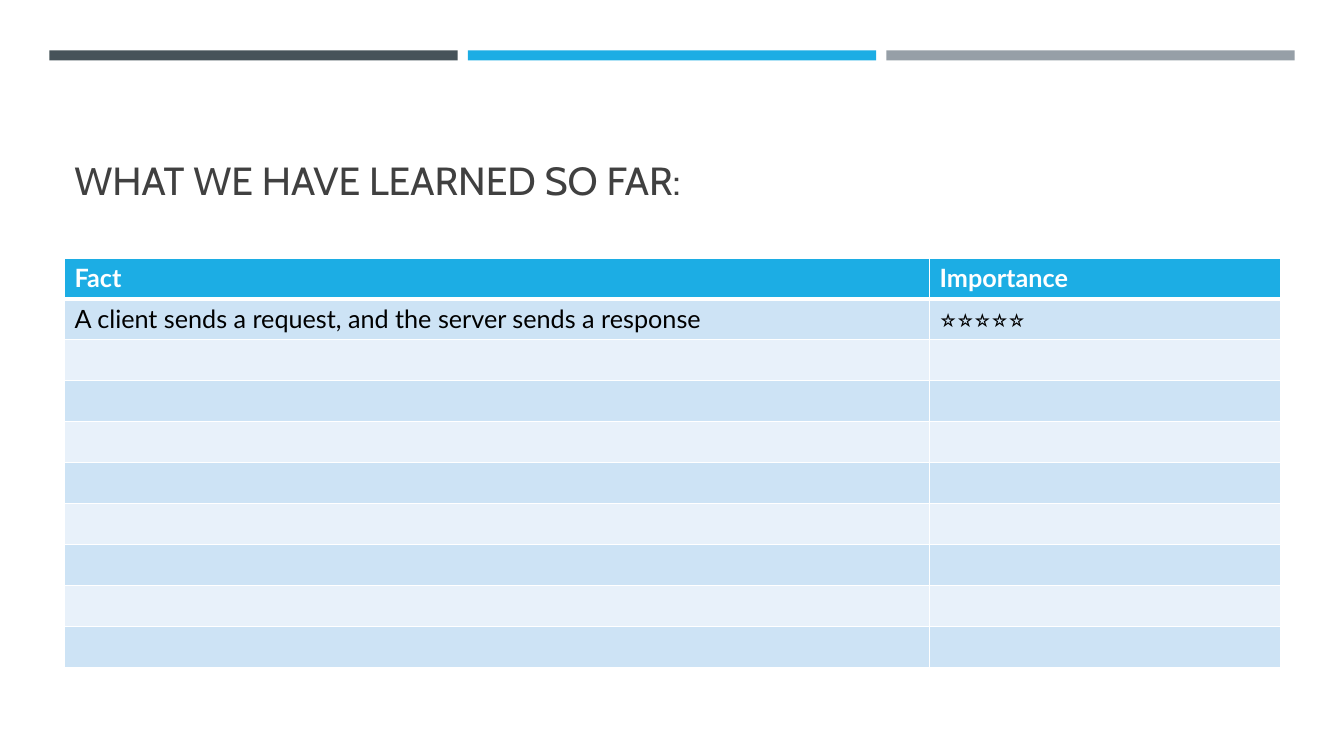
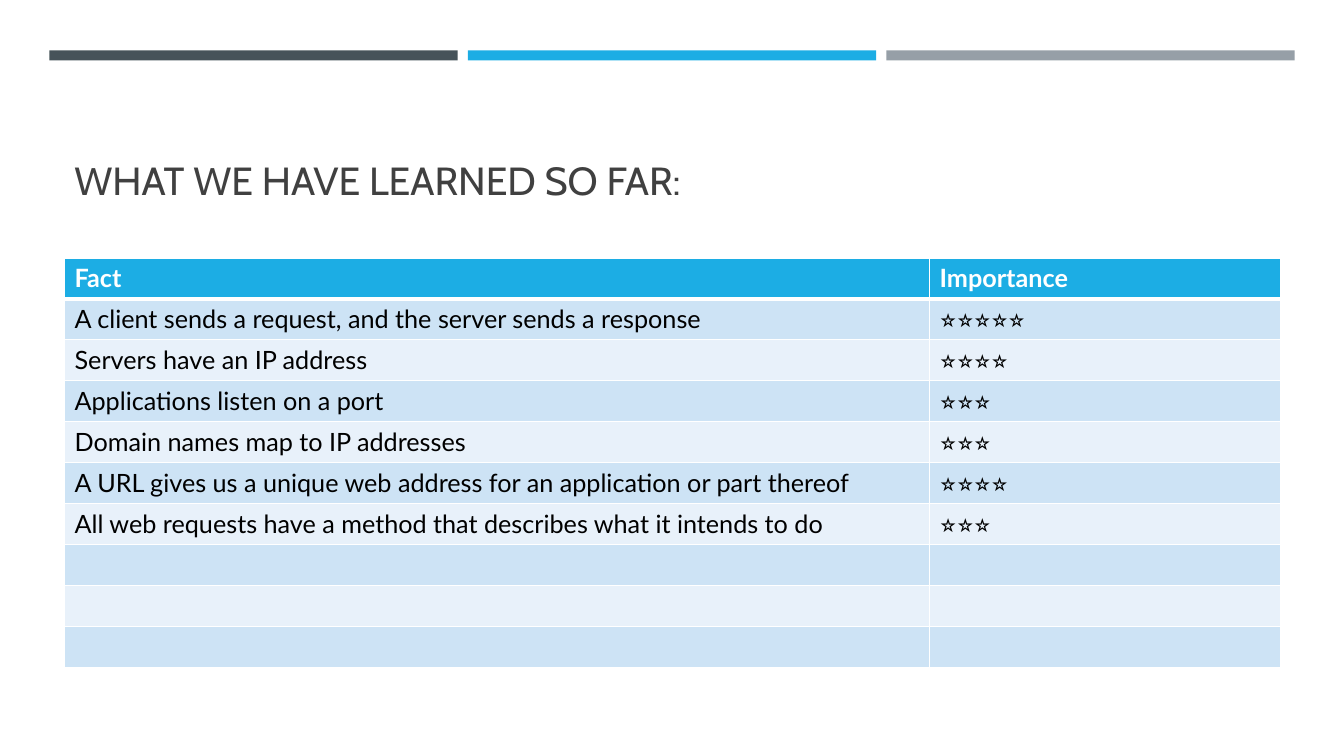
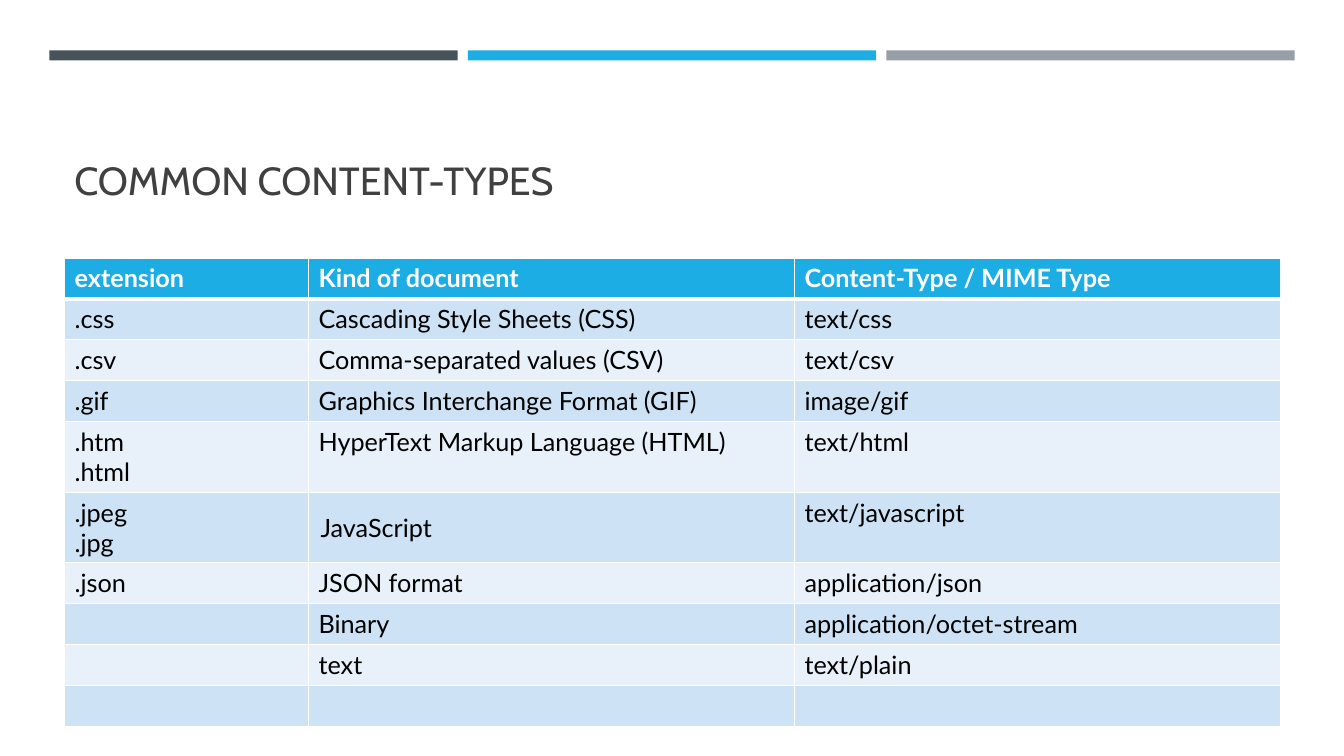
import dataclasses

import lxml.etree
import pptx
import pptx.dml.color
import pptx.enum.shapes
import pptx.enum.text
import pptx.oxml.ns
import pptx.util

Inches = pptx.util.Inches
Pt = pptx.util.Pt
qn = pptx.oxml.ns.qn

WHITE, BLACK, GREY = "FFFFFF", "000000", "404040"
BLUE = "1CADE4"
BANDS = ("465359", BLUE, "969FA7")
STRIPES = ("CDE3F5", "E8F1FA")
HEAD_FONT, BODY_FONT = "Cabin", "Lato"
LEFT, WIDTH = 0.64, 12.06
ROWS = 10
TALL = 0.7
STAR = "⭐"


@dataclasses.dataclass(frozen=True)
class Page:
    title: str
    widths: tuple[float, ...]
    heads: tuple[str, ...]
    rows: tuple[tuple[str, ...], ...]
    inset: tuple[int, int] | None = None


FACTS = (
    ("A client sends a request, and the server sends a response", STAR * 5),
    ("Servers have an IP address", STAR * 4),
    ("Applications listen on a port", STAR * 3),
    ("Domain names map to IP addresses", STAR * 3),
    ("A URL gives us a unique web address for an application or part thereof", STAR * 4),
    ("All web requests have a method that describes what it intends to do", STAR * 3),
)
TYPES = (
    (".css", "Cascading Style Sheets (CSS)", "text/css"),
    (".csv", "Comma-separated values (CSV)", "text/csv"),
    (".gif", "Graphics Interchange Format (GIF)", "image/gif"),
    (".htm\v.html", "HyperText Markup Language (HTML)", "text/html"),
    (".jpeg\v.jpg", "JavaScript", "text/javascript"),
    (".json", "JSON format", "application/json"),
    ("", "Binary", "application/octet-stream"),
    ("", "text", "text/plain"),
)
LEARNED = Page("WHAT WE HAVE LEARNED SO FAR:", (8.58, 3.48), ("Fact", "Importance"), FACTS)
PAGES = (
    dataclasses.replace(LEARNED, rows=FACTS[:1]),
    LEARNED,
    Page(
        "COMMON CONTENT-TYPES",
        (2.42, 4.82, 4.82),
        ("extension", "Kind of document", "Content-Type / MIME Type"),
        TYPES,
        inset=(5, 1),
    ),
)


def rgb(code: str) -> pptx.dml.color.RGBColor:
    return pptx.dml.color.RGBColor.from_string(code)


def paint(item, code: str) -> None:
    item.fill.solid()
    item.fill.fore_color.rgb = rgb(code)


def write(frame, text: str, face: str, size: float, code: str, bold: bool = False) -> None:
    frame.text = text
    for line in frame.paragraphs:
        for run in line.runs:
            run.font.name = face
            run.font.size = Pt(size)
            run.font.bold = bold
            run.font.color.rgb = rgb(code)


def edge(cell, side: str, width: float) -> None:
    props = cell._tc.get_or_add_tcPr()
    line = lxml.etree.SubElement(props, qn(f"a:ln{side}"), w=str(Pt(width)))
    fill = lxml.etree.SubElement(line, qn("a:solidFill"))
    lxml.etree.SubElement(fill, qn("a:srgbClr"), val=WHITE)


def add_bands(slide) -> None:
    for i, code in enumerate(BANDS):
        band = slide.shapes.add_shape(
            pptx.enum.shapes.MSO_SHAPE.RECTANGLE,
            Inches(0.49 + 4.15 * i), Inches(0.5), Inches(4.05), Inches(0.1),
        )
        band.shadow.inherit = False
        band.line.fill.background()
        paint(band, code)


def add_title(slide, text: str) -> None:
    box = slide.shapes.add_textbox(Inches(LEFT), Inches(0.77), Inches(WIDTH), Inches(1.3))
    frame = box.text_frame
    frame.word_wrap = True
    frame.vertical_anchor = pptx.enum.text.MSO_ANCHOR.BOTTOM
    write(frame, text, HEAD_FONT, 28, GREY)


def fill_cell(cell, text: str, row: int) -> None:
    head = row == 0
    edge(cell, "L", 1)
    edge(cell, "R", 1)
    edge(cell, "T", 3 if row == 1 else 1)
    edge(cell, "B", 3 if head else 1)
    paint(cell, BLUE if head else STRIPES[(row - 1) % 2])
    if text:
        write(cell.text_frame, text, BODY_FONT, 18, WHITE if head else BLACK, head)


def add_grid(slide, page: Page) -> None:
    count = len(page.widths)
    grid = slide.shapes.add_table(
        ROWS, count, Inches(LEFT), Inches(2.56), Inches(WIDTH), Inches(4.06)
    ).table
    grid.horz_banding = False
    for col, width in zip(grid.columns, page.widths):
        col.width = Inches(width)
    lines = (page.heads, *page.rows)
    lines += (("",) * count,) * (ROWS - len(lines))
    for r, texts in enumerate(lines):
        if any("\v" in text for text in texts):
            grid.rows[r].height = Inches(TALL)
        for c, text in enumerate(texts):
            fill_cell(grid.cell(r, c), text, r)
    if page.inset:
        cell = grid.cell(*page.inset)
        cell.vertical_anchor = pptx.enum.text.MSO_ANCHOR.MIDDLE
        cell.margin_left = cell.margin_right = Inches(0.12)
        cell.margin_top = cell.margin_bottom = Inches(0.12)


def main() -> None:
    deck = pptx.Presentation()
    deck.slide_width = Inches(13.33)
    deck.slide_height = Inches(7.5)
    for page in PAGES:
        slide = deck.slides.add_slide(deck.slide_layouts[6])
        add_bands(slide)
        add_title(slide, page.title)
        add_grid(slide, page)
    deck.save("out.pptx")


if __name__ == "__main__":
    main()
